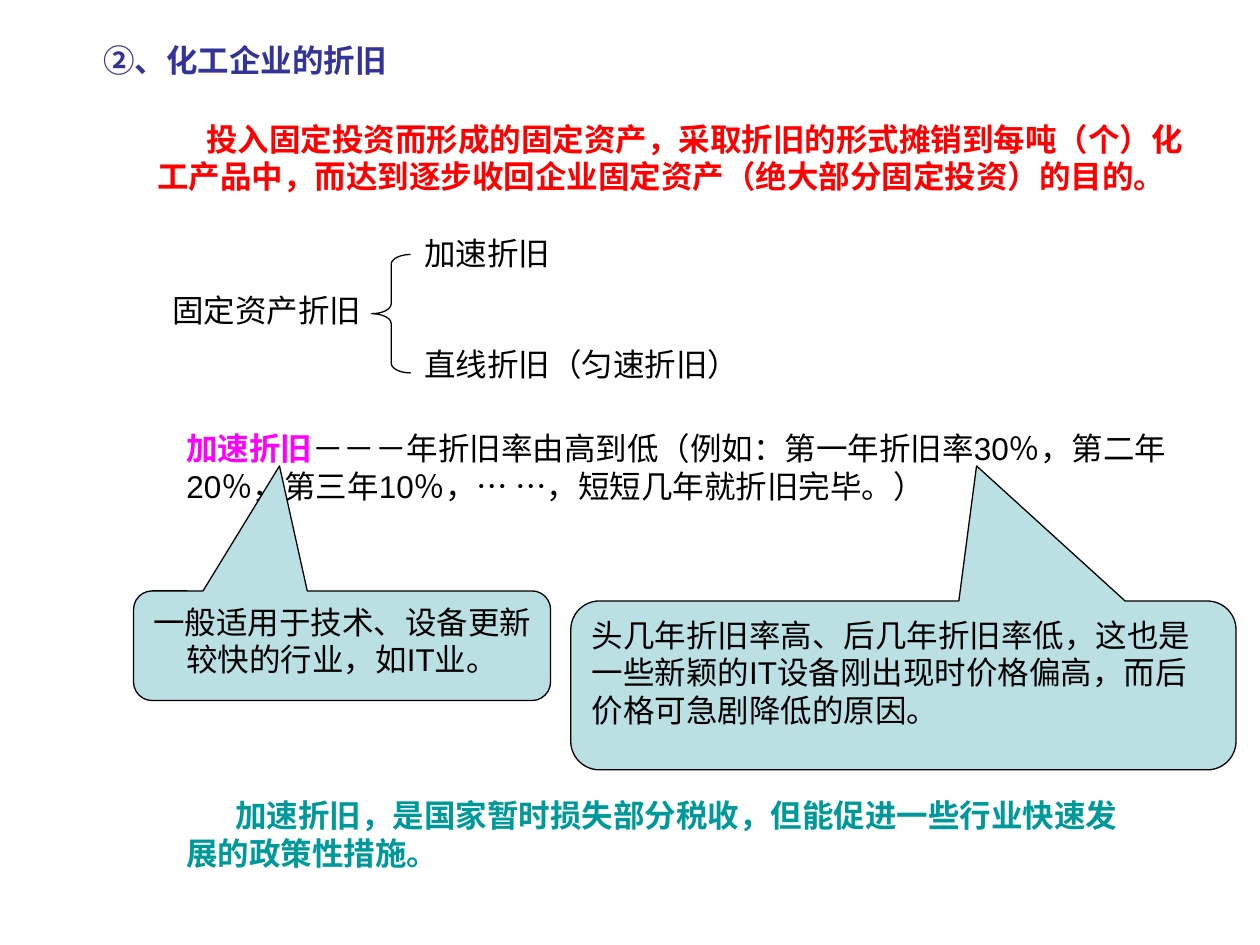
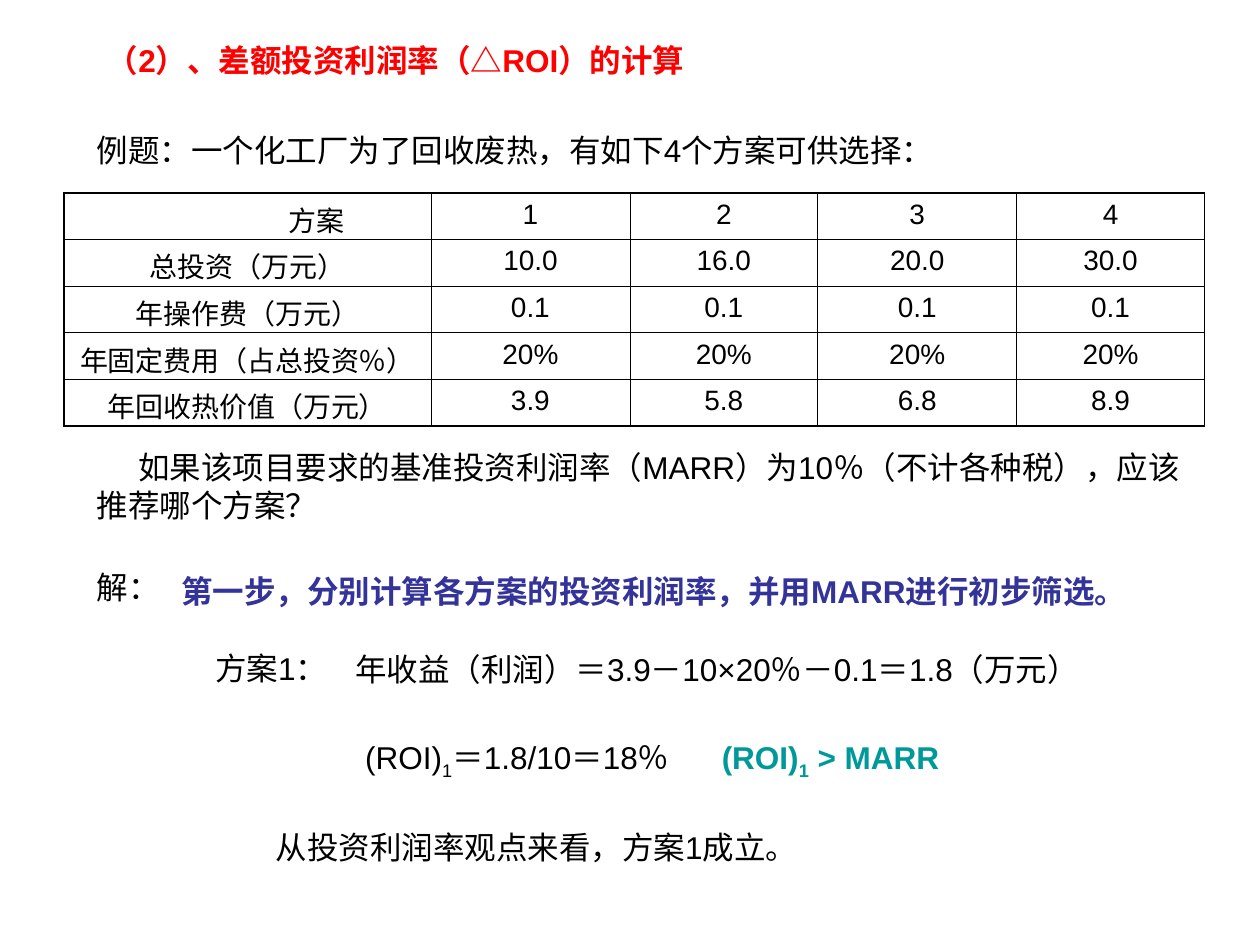
from lxml import etree
from pptx import Presentation
from pptx.dml.color import RGBColor
from pptx.enum.lang import MSO_LANGUAGE_ID
from pptx.enum.shapes import MSO_SHAPE
from pptx.enum.text import MSO_ANCHOR, MSO_AUTO_SIZE, PP_ALIGN
from pptx.oxml.ns import qn
from pptx.util import Inches, Pt

BLACK = RGBColor(0x00, 0x00, 0x00)
RED = RGBColor(0xFF, 0x00, 0x00)
INDIGO = RGBColor(0x33, 0x33, 0x99)
TEAL = RGBColor(0x00, 0x99, 0x99)
MAGENTA = RGBColor(0xFF, 0x00, 0xFF)
PALE_BLUE = RGBColor(0xBB, 0xE0, 0xE3)

LEFT, CENTER = PP_ALIGN.LEFT, PP_ALIGN.CENTER
TOP = MSO_ANCHOR.TOP
GROW = MSO_AUTO_SIZE.SHAPE_TO_FIT_TEXT
BRACE = MSO_SHAPE.LEFT_BRACE
CALLOUT = MSO_SHAPE.ROUNDED_RECTANGULAR_CALLOUT
CHINESE = MSO_LANGUAGE_ID.SIMPLIFIED_CHINESE

FONT = "Arial"
BODY_SIZE, TABLE_SIZE = 18, 16
OUTER_LINE, INNER_LINE = 1.08, 0.45
TITLE_TOP = 0.28
LINE_HEIGHT = 0.4


class SlideBuilder:
    """Holds the deck, its text style and the slide being filled."""

    def __init__(self):
        self.deck = Presentation()
        self.deck.slide_width = Inches(10)
        self.deck.slide_height = Inches(7.5)
        self.page = None

    def new_page(self):
        self.page = self.deck.slides.add_slide(self.deck.slide_layouts[6])

    def fill_frame(self, frame, content, size=BODY_SIZE, align=LEFT, indent=0, **style):
        """Fill a frame with a string, or with (text, style) pairs."""
        para = frame.paragraphs[0]
        para.alignment = align
        if indent:
            properties = para._p.get_or_add_pPr()
            properties.set("marL", "0")
            properties.set("indent", str(Inches(indent)))
        pairs = [(content, {})] if isinstance(content, str) else content
        for text, extra in pairs:
            self.add_span(para, text, size, **{**style, **extra})

    def add_span(self, para, text, size, color=BLACK, bold=False, subscript=False):
        span = para.add_run()
        span.text = text
        formats = {"name": FONT, "size": Pt(size), "bold": bold, "language_id": CHINESE}
        for name, value in formats.items():
            setattr(span.font, name, value)
        span.font.color.rgb = color
        if subscript:
            span._r.get_or_add_rPr().set("baseline", "-25000")

    def text(self, left, top, width, content, lines=1, **style):
        height = LINE_HEIGHT + 0.3 * (lines - 1)
        box = self.page.shapes.add_textbox(*map(Inches, (left, top, width, height)))
        box.text_frame.word_wrap = True
        box.text_frame.auto_size = GROW
        self.fill_frame(box.text_frame, content, **style)

    def title(self, left, width, content, color):
        self.text(left, TITLE_TOP, width, content, color=color, bold=True)

    def outline(self, kind, bounds, adjustments):
        shape = self.page.shapes.add_shape(kind, *map(Inches, bounds))
        shape.shadow.inherit = False
        shape.line.color.rgb = BLACK
        shape.line.width = Pt(0.75)
        for index, value in enumerate(adjustments):
            shape.adjustments[index] = value
        return shape

    def brace(self, *bounds):
        self.outline(BRACE, bounds, (0.25, 0.5)).fill.background()

    def callout(self, bounds, pointer, content, align=LEFT):
        """Pointer is the tip's offset from the centre, in widths and heights."""
        shape = self.outline(CALLOUT, bounds, (*pointer, 0.17))
        shape.fill.solid()
        shape.fill.fore_color.rgb = PALE_BLUE
        shape.text_frame.word_wrap = True
        shape.text_frame.vertical_anchor = TOP
        self.fill_frame(shape.text_frame, content, align=align)

    def table(self, left, top, widths, row_height, rows, corner_indent):
        """Draw a grid with a heavier frame; the corner cell is indented."""
        last_row, last_column = len(rows) - 1, len(widths) - 1
        frame = self.page.shapes.add_table(
            len(rows), len(widths), Inches(left), Inches(top),
            Inches(sum(widths)), Inches(row_height * len(rows)))
        grid = frame.table
        grid.first_row = grid.horz_banding = False
        for column, width in zip(grid.columns, widths):
            column.width = Inches(width)
        for i, values in enumerate(rows):
            grid.rows[i].height = Inches(row_height)
            for j, value in enumerate(values):
                cell = grid.cell(i, j)
                cell.fill.background()
                corner = i == j == 0
                self.fill_frame(cell.text_frame, value, size=TABLE_SIZE,
                                align=LEFT if corner else CENTER,
                                indent=corner_indent if corner else 0)
                self.cell_borders(cell, {"lnL": j == 0, "lnR": j == last_column,
                                         "lnT": i == 0, "lnB": i == last_row})

    def cell_borders(self, cell, edges):
        """Edges maps each border tag to whether it lies on the outer frame."""
        properties = cell._tc.get_or_add_tcPr()
        for position, (tag, outer) in enumerate(edges.items()):
            width = Pt(OUTER_LINE if outer else INNER_LINE)
            line = etree.Element(qn(f"a:{tag}"), w=str(width))
            fill = etree.SubElement(line, qn("a:solidFill"))
            etree.SubElement(fill, qn("a:srgbClr"), val=str(BLACK))
            properties.insert(position, line)


def depreciation_page(builder):
    builder.new_page()
    builder.title(0.72, 4.73, "②、化工企业的折旧", INDIGO)
    builder.text(1.15, 0.9, 8.5,
                 "投入固定投资而形成的固定资产，采取折旧的形式摊销到每吨（个）化工产品中，"
                 "而达到逐步收回企业固定资产（绝大部分固定投资）的目的。",
                 lines=2, indent=0.39, color=RED, bold=True)
    builder.text(1.27, 2.26, 1.81, "固定资产折旧")
    builder.brace(2.95, 2.02, 0.31, 0.94)
    builder.text(3.27, 1.81, 1.81, "加速折旧")
    builder.text(3.27, 2.69, 3.47, "直线折旧（匀速折旧）")
    builder.text(1.38, 3.36, 8.19, [
        ("加速折旧", {"color": MAGENTA, "bold": True}),
        ("－－－年折旧率由高到低（例如：第一年折旧率30％，第二年20％，"
         "第三年10％，… …，短短几年就折旧完毕。）", {})], lines=2)
    builder.callout((1.06, 4.69, 3.31, 0.87), (-0.15, -1.64),
                    "一般适用于技术、设备更新较快的行业，如IT业。", align=CENTER)
    builder.callout((4.53, 4.77, 5.28, 1.34), (0.11, -1.3),
                    "头几年折旧率高、后几年折旧率低，这也是一些新颖的IT设备"
                    "刚出现时价格偏高，而后价格可急剧降低的原因。")
    builder.text(1.38, 6.27, 7.8,
                 "加速折旧，是国家暂时损失部分税收，但能促进一些行业快速发展的政策性措施。",
                 lines=2, indent=0.39, color=TEAL, bold=True)


def profit_rate_page(builder):
    builder.new_page()
    builder.title(0.75, 6.69, "（2）、差额投资利润率（△ROI）的计算", RED)
    builder.text(0.67, 0.99, 8.98, "例题：一个化工厂为了回收废热，有如下4个方案可供选择：")
    options = [
        ("方案", "1", "2", "3", "4"),
        ("总投资（万元）", "10.0", "16.0", "20.0", "30.0"),
        ("年操作费（万元）", *["0.1"] * 4),
        ("年固定费用（占总投资％）", *["20%"] * 4),
        ("年回收热价值（万元）", "3.9", "5.8", "6.8", "8.9"),
    ]
    builder.table(0.51, 1.53, (2.91, 1.58, 1.49, 1.58, 1.49), 0.37, options,
                  corner_indent=1.68)
    builder.text(0.67, 3.51, 8.9,
                 "如果该项目要求的基准投资利润率（MARR）为10％（不计各种税），"
                 "应该推荐哪个方案？", lines=2, indent=0.33)
    builder.text(0.67, 4.46, 0.87, "解：")
    builder.text(1.34, 4.49, 8.03,
                 "第一步，分别计算各方案的投资利润率，并用MARR进行初步筛选。",
                 color=INDIGO, bold=True)
    builder.text(1.61, 5.1, 1.1, "方案1：")
    builder.text(2.72, 5.11, 6.69, "年收益（利润）＝3.9－10×20％－0.1＝1.8（万元）")
    first_roi = [("(ROI)", {}), ("1", {"subscript": True})]
    builder.text(2.8, 5.81, 3.15, first_roi + [("＝1.8/10＝18％", {})])
    builder.text(5.63, 5.81, 3.15, first_roi + [(" > MARR", {})], color=TEAL, bold=True)
    builder.text(2.09, 6.52, 7.24, "从投资利润率观点来看，方案1成立。")


def main():
    builder = SlideBuilder()
    depreciation_page(builder)
    profit_rate_page(builder)
    builder.deck.save("out.pptx")


if __name__ == "__main__":
    main()
